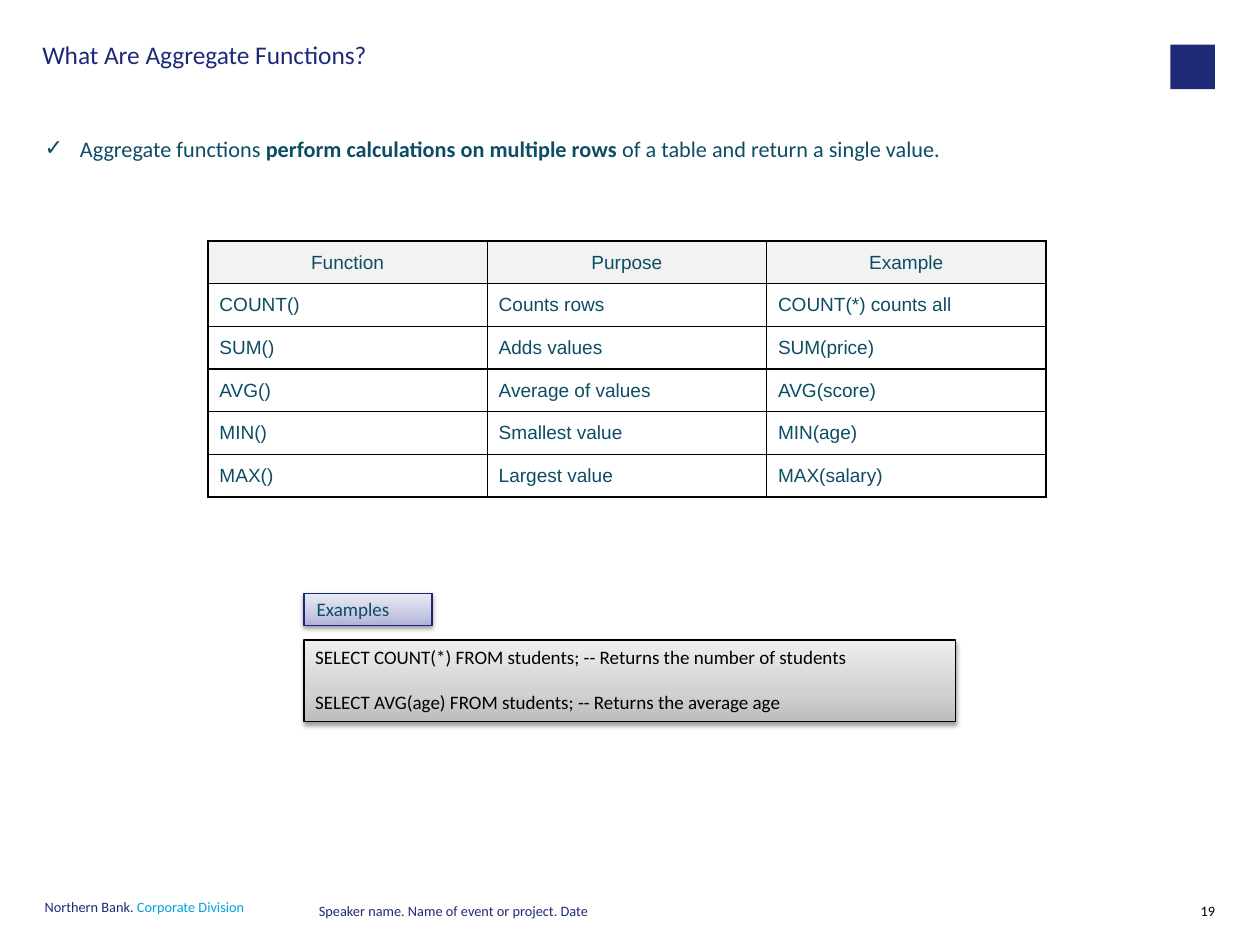
from copy import deepcopy
from lxml.etree import SubElement as Sub
from pptx import Presentation
from pptx.dml.color import RGBColor as RGB
from pptx.enum.shapes import MSO_SHAPE as Shape
from pptx.enum.text import MSO_ANCHOR as Anchor, MSO_AUTO_SIZE as Auto, PP_ALIGN as Align
from pptx.oxml.ns import qn
from pptx.util import Inches, Pt

NAVY = RGB(0x1E, 0x2A, 0x78)
CYAN = RGB(0x00, 0xA3, 0xE0)
TEAL = RGB(0x0C, 0x4D, 0x65)
BLACK = RGB(0, 0, 0)
PALE = RGB(0xF2, 0xF2, 0xF2)
EDGE = RGB(0x1B, 0x27, 0x78)
GREYS = RGB(0xBD, 0xBD, 0xBD), RGB(0xD1, 0xD1, 0xD1), RGB(0xEE, 0xEE, 0xEE)
BLUES = RGB(0xB0, 0xB2, 0xD8), RGB(0xC8, 0xCA, 0xE2), RGB(0xEA, 0xEA, 0xF5)
STOPS = 0, 0.35, 1

ROWS = [
    ("Function", "Purpose", "Example"),
    ("COUNT()", "Counts rows", "COUNT(*) counts all"),
    ("SUM()", "Adds values", "SUM(price)"),
    ("AVG()", "Average of values", "AVG(score)"),
    ("MIN()", "Smallest value", "MIN(age)"),
    ("MAX()", "Largest value", "MAX(salary)"),
]
CODE = [
    "SELECT COUNT(*) FROM students; -- Returns the number of students",
    "SELECT AVG(age) FROM students; -- Returns the average age",
]


def apply(item, form):
    for name, value in form.items():
        setattr(item, name, value)


def write(par, text, size, color, font="Calibri", bold=False):
    run = par.add_run()
    run.text = text
    apply(run.font, {"size": Pt(size), "name": font, "bold": bold})
    run.font.color.rgb = color


def add_text(slide, box, runs, size, anchor=Anchor.TOP, **form):
    """Add a text box without margins; runs holds (text, colour, bold)."""
    frame = slide.shapes.add_textbox(*map(Inches, box)).text_frame
    apply(frame, {"word_wrap": True, "vertical_anchor": anchor, "margin_left": 0,
                  "margin_right": 0, "margin_top": 0, "margin_bottom": 0})
    par = frame.paragraphs[0]
    apply(par, form)
    for text, color, bold in runs:
        write(par, text, size, color, bold=bold)
    return par


def add_tick(par):
    props = par._p.get_or_add_pPr()
    props.set("marL", str(Inches(0.31)))
    props.set("indent", str(-Inches(0.31)))
    Sub(props, qn("a:buFont"), typeface="Arial")
    Sub(props, qn("a:buChar"), char="✓")


def add_border(cell):
    props = cell._tc.get_or_add_tcPr()
    for side in "LRTB":
        line = Sub(props, qn("a:ln" + side), w=str(Pt(1)))
        fill = Sub(line, qn("a:solidFill"))
        Sub(fill, qn("a:srgbClr"), val=str(BLACK))


def add_grid(slide, rows, left, top, width, height):
    box = map(Inches, (left, top, width, height))
    table = slide.shapes.add_table(len(rows), len(rows[0]), *box).table
    apply(table, {"first_row": False, "horz_banding": False})
    for r, row in enumerate(rows):
        for c, text in enumerate(row):
            cell = table.cell(r, c)
            add_border(cell)
            cell.vertical_anchor = Anchor.MIDDLE
            par = cell.text_frame.paragraphs[0]
            write(par, text, 12, TEAL, "Arial")
            if r == 0:
                par.alignment = Align.CENTER
                cell.fill.solid()
                cell.fill.fore_color.rgb = PALE
            else:
                cell.fill.background()


def add_shadow(shape):
    shape.shadow.inherit = False
    effects = shape._element.spPr.find(qn("a:effectLst"))
    shade = Sub(effects, qn("a:outerShdw"), blurRad=str(Pt(3.1)), dist=str(Pt(1.6)),
                dir="5400000", rotWithShape="0")
    color = Sub(shade, qn("a:srgbClr"), val=str(BLACK))
    Sub(color, qn("a:alpha"), val="38000")


def add_panel(slide, box, colors, edge, lines, ink, **form):
    """Add a shaded rectangle with one paragraph for each line."""
    shape = slide.shapes.add_shape(Shape.RECTANGLE, *map(Inches, box))
    shape.fill.gradient()
    shape.fill.gradient_angle = 90
    stops = shape._element.spPr.find(qn("a:gradFill")).find(qn("a:gsLst"))
    stops.append(deepcopy(stops[-1]))
    for stop, place, color in zip(shape.fill.gradient_stops, STOPS, colors):
        stop.position = place
        stop.color.rgb = color
    shape.line.color.rgb = edge
    shape.line.width = Pt(0.75)
    add_shadow(shape)
    frame = shape.text_frame
    apply(frame, {"word_wrap": True, **form})
    for i, text in enumerate(lines):
        par = frame.add_paragraph() if i else frame.paragraphs[0]
        par.alignment = Align.LEFT
        if i:
            par.space_before = Pt(14)
        write(par, text, 12, ink)


def add_mark(slide):
    mark = slide.shapes.add_shape(Shape.RECTANGLE, *map(Inches, (10.24, 0.39, 0.39, 0.39)))
    mark.shadow.inherit = False
    mark.fill.solid()
    mark.fill.fore_color.rgb = NAVY
    mark.line.fill.background()


def main():
    deck = Presentation()
    # The page is 28 by 21 centimetres
    deck.slide_width = Inches(28 / 2.54)
    deck.slide_height = Inches(21 / 2.54)
    slide = deck.slides.add_slide(deck.slide_layouts[6])

    add_mark(slide)
    add_text(slide, (0.37, 0.37, 9.47, 0.61),
             [("What Are Aggregate Functions?", NAVY, False)], 16, line_spacing=0.9)
    point = add_text(slide, (0.39, 1.18, 10.24, 0.35), [
        ("Aggregate functions ", TEAL, False),
        ("perform calculations on multiple rows", TEAL, True),
        (" of a table and return a single value.", TEAL, False)], 14)
    add_tick(point)

    add_grid(slide, ROWS, 1.82, 2.11, 7.33, 2.24)
    add_panel(slide, (2.66, 5.6, 5.7, 0.71), GREYS, BLACK, CODE, BLACK,
              vertical_anchor=Anchor.TOP, auto_size=Auto.SHAPE_TO_FIT_TEXT)
    add_panel(slide, (2.66, 5.19, 1.12, 0.28), BLUES, EDGE, ["Examples"], TEAL,
              vertical_anchor=Anchor.MIDDLE, margin_left=Inches(0.11),
              margin_right=Inches(0.11), margin_top=Inches(0.06),
              margin_bottom=Inches(0.06))

    add_text(slide, (0.39, 7.88, 2.19, 0.2),
             [("Northern Bank. ", NAVY, False), ("Corporate Division", CYAN, False)],
             9, line_spacing=Pt(9))
    add_text(slide, (2.79, 7.88, 5.4, 0.2),
             [("Speaker name. Name of event or project. Date", NAVY, False)],
             9, Anchor.MIDDLE, line_spacing=Pt(9))
    add_text(slide, (10.24, 7.88, 0.39, 0.2), [("19", BLACK, False)],
             9, Anchor.MIDDLE, line_spacing=Pt(9), alignment=Align.RIGHT)
    deck.save("out.pptx")


if __name__ == "__main__":
    main()
